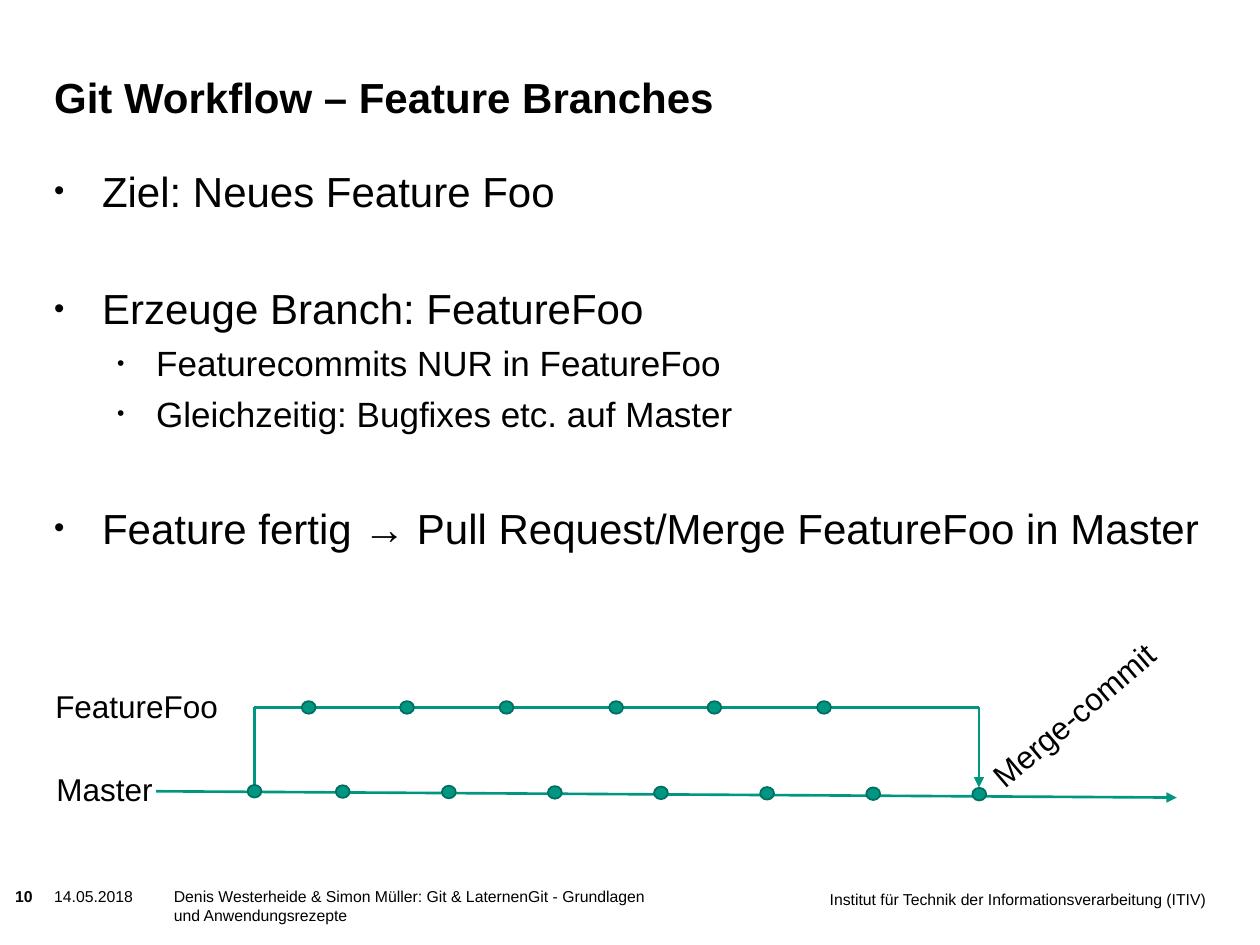
from lxml.etree import SubElement
from pptx import Presentation
from pptx.dml.color import RGBColor
from pptx.enum.shapes import MSO_CONNECTOR, MSO_SHAPE
from pptx.enum.text import MSO_ANCHOR, MSO_AUTO_SIZE, PP_ALIGN
from pptx.oxml.ns import qn
from pptx.util import Inches, Pt

WIDTH, HEIGHT = Inches(10), Inches(7.5)
COLUMNS, ROWS = 100, 75

BLACK = RGBColor(0x00, 0x00, 0x00)
GREEN = RGBColor(0x00, 0x96, 0x82)
DARK_GREEN = RGBColor(0x00, 0x6F, 0x60)

# Branch diagram, in grid columns and rows
FORK, MERGE = 20.2, 77.7
FEATURE_ROW, MASTER_ROW = 56.15, 62.8
FEATURE_COMMITS = (24.5, 32.3, 40.2, 48.9, 56.7, 65.4)
MASTER_COMMITS = [FORK] + [27.2 + 8.42 * i for i in range(7)]
MASTER_SLOPE = 0.004
COMMIT_SIZE = (1.1, 1)

# Level, space before in points, text
BULLETS = (
    (0, 5.5, "Ziel: Neues Feature Foo"),
    (0, 38.5, "Erzeuge Branch: FeatureFoo"),
    (1, 5, "Featurecommits NUR in FeatureFoo"),
    (1, 5, "Gleichzeitig: Bugfixes etc. auf Master"),
    (0, 38.5, "Feature fertig → Pull Request/Merge FeatureFoo in Master"),
)
# Text size, left indent and hanging in inches, bullet size in percent
LEVELS = ((24, 0.38, 0.38, 70), (20, 0.81, 0.31, 60))


def col(n):
    return round(WIDTH * n / COLUMNS)


def row(n):
    return round(HEIGHT * n / ROWS)


def place(element, left, top, width, height):
    element.left, element.top = col(left), row(top)
    element.width, element.height = col(width), row(height)


def clear_margins(frame):
    frame.margin_left = frame.margin_right = 0
    frame.margin_top = frame.margin_bottom = 0


def add_run(paragraph, text, size, bold=False):
    run = paragraph.add_run()
    run.text = text
    run.font.name = "Arial"
    run.font.size = Pt(size)
    run.font.bold = bold
    run.font.color.rgb = BLACK


def set_bullet(paragraph, left, hanging, percent):
    properties = paragraph._p.get_or_add_pPr()
    properties.set("marL", str(Inches(left)))
    properties.set("indent", str(-Inches(hanging)))
    SubElement(properties, qn("a:buSzPct"), val=str(percent * 1000))
    SubElement(properties, qn("a:buFont"), typeface="Arial")
    SubElement(properties, qn("a:buChar"), char="•")


def fill_title(title, text):
    place(title, 4.3, 3.6, 75.6, 6.1)
    frame = title.text_frame
    clear_margins(frame)
    frame.auto_size = MSO_AUTO_SIZE.NONE
    frame.vertical_anchor = MSO_ANCHOR.BOTTOM
    frame.paragraphs[0].alignment = PP_ALIGN.LEFT
    add_run(frame.paragraphs[0], text, 24, bold=True)


def fill_body(body):
    place(body, 4.3, 13.1, 91.4, 36)
    frame = body.text_frame
    clear_margins(frame)
    frame.auto_size = MSO_AUTO_SIZE.NONE
    for i, (level, space, text) in enumerate(BULLETS):
        paragraph = frame.add_paragraph() if i else frame.paragraphs[0]
        size, left, hanging, percent = LEVELS[level]
        paragraph.level = level
        paragraph.space_before = Pt(space)
        set_bullet(paragraph, left, hanging, percent)
        add_run(paragraph, text, size)


def add_footer(slide, text, left, top, width, height, bold=False, align=PP_ALIGN.LEFT):
    box = slide.shapes.add_textbox(col(left), row(top), col(width), row(height))
    frame = box.text_frame
    clear_margins(frame)
    frame.word_wrap = True
    frame.paragraphs[0].alignment = align
    add_run(frame.paragraphs[0], text, 9, bold)


def add_label(slide, text, left, top, width, rotation=0):
    box = slide.shapes.add_textbox(col(left), row(top), col(width), row(4))
    box.rotation = rotation
    frame = box.text_frame
    frame.word_wrap = False
    frame.auto_size = MSO_AUTO_SIZE.SHAPE_TO_FIT_TEXT
    add_run(frame.paragraphs[0], text, 18)


def add_branch_line(slide, start, end, arrow=False):
    connector = slide.shapes.add_connector(
        MSO_CONNECTOR.STRAIGHT, col(start[0]), row(start[1]), col(end[0]), row(end[1]))
    connector.line.color.rgb = GREEN
    connector.line.width = Pt(1.5)
    if arrow:
        SubElement(connector.line._get_or_add_ln(), qn("a:tailEnd"), type="triangle")
    SubElement(connector._element.spPr, qn("a:effectLst"))


def add_commit(slide, x, y):
    width, height = COMMIT_SIZE
    commit = slide.shapes.add_shape(
        MSO_SHAPE.OVAL, col(x - width / 2), row(y - height / 2), col(width), row(height))
    commit.shadow.inherit = False
    commit.fill.solid()
    commit.fill.fore_color.rgb = GREEN
    commit.line.color.rgb = DARK_GREEN
    commit.line.width = Pt(1)


def add_branch_diagram(slide):
    # Lines: feature branch, master, fork and merge
    add_branch_line(slide, (FORK, FEATURE_ROW), (MERGE, FEATURE_ROW))
    add_branch_line(slide, (12.4, MASTER_ROW), (93.4, 63.3), arrow=True)
    add_branch_line(slide, (FORK, MASTER_ROW), (FORK, FEATURE_ROW))
    add_branch_line(slide, (MERGE, FEATURE_ROW), (MERGE, 62.5), arrow=True)

    # Commits; those on master follow its slight slope
    for x in FEATURE_COMMITS:
        add_commit(slide, x, FEATURE_ROW)
    for x in MASTER_COMMITS:
        add_commit(slide, x, MASTER_ROW + MASTER_SLOPE * (x - FORK))

    add_label(slide, "FeatureFoo", 3.4, 54, 15.1)
    add_label(slide, "Master", 3.5, 60.6, 9.7)
    add_label(slide, "Merge-commit", 76.2, 54.7, 18.1, rotation=319.5)


def main():
    presentation = Presentation()
    presentation.slide_width, presentation.slide_height = WIDTH, HEIGHT
    slide = presentation.slides.add_slide(presentation.slide_layouts[1])

    fill_title(slide.shapes.title, "Git Workflow – Feature Branches")
    fill_body(slide.placeholders[1])
    add_branch_diagram(slide)

    # Footer
    add_footer(slide, "10", 1.2, 70.4, 4.4, 1.9, bold=True)
    add_footer(slide, "14.05.2018", 4.3, 70.4, 9.5, 1.2)
    add_footer(slide, "Denis Westerheide & Simon Müller: Git & LaternenGit - Grundlagen "
               "und Anwendungsrezepte", 13.8, 70.4, 37.8, 3.9)
    add_footer(slide, "Institut für Technik der Informationsverarbeitung (ITIV)",
               63.4, 70.6, 32.3, 3.9, align=PP_ALIGN.RIGHT)

    presentation.save("out.pptx")


if __name__ == "__main__":
    main()
